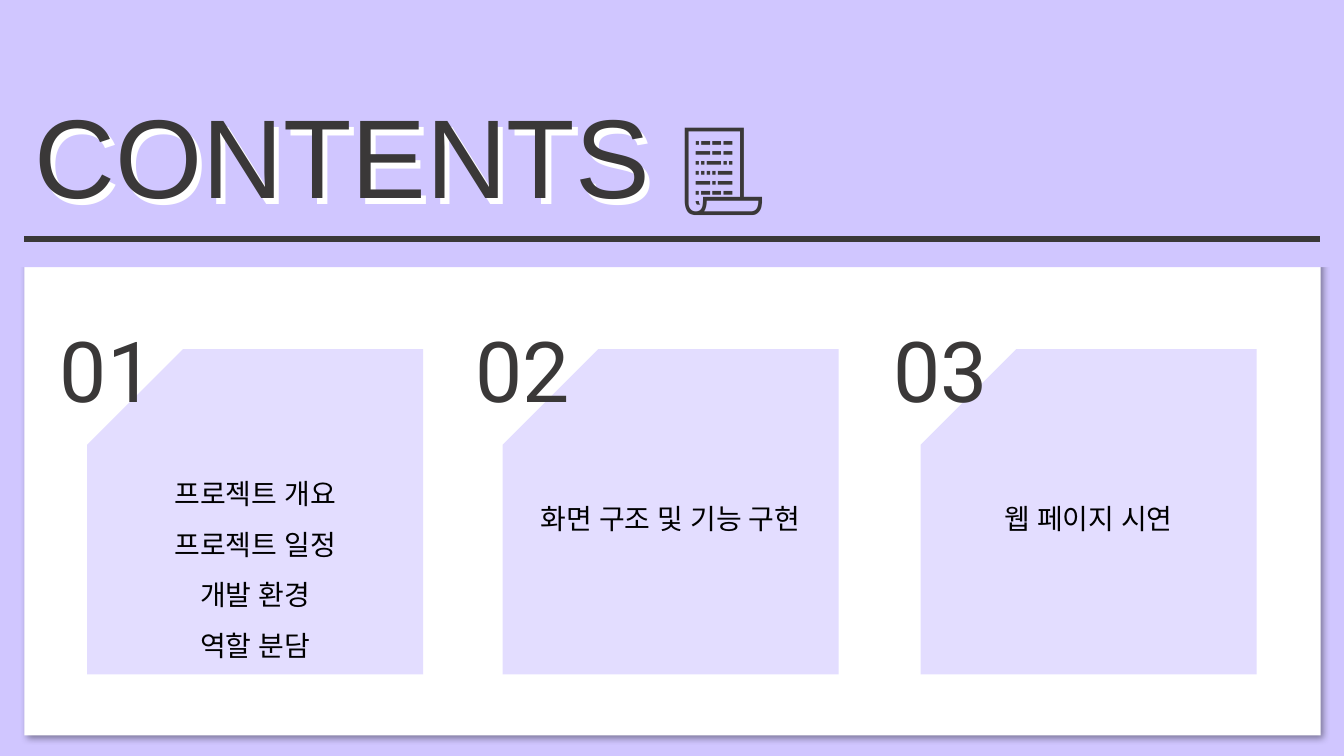
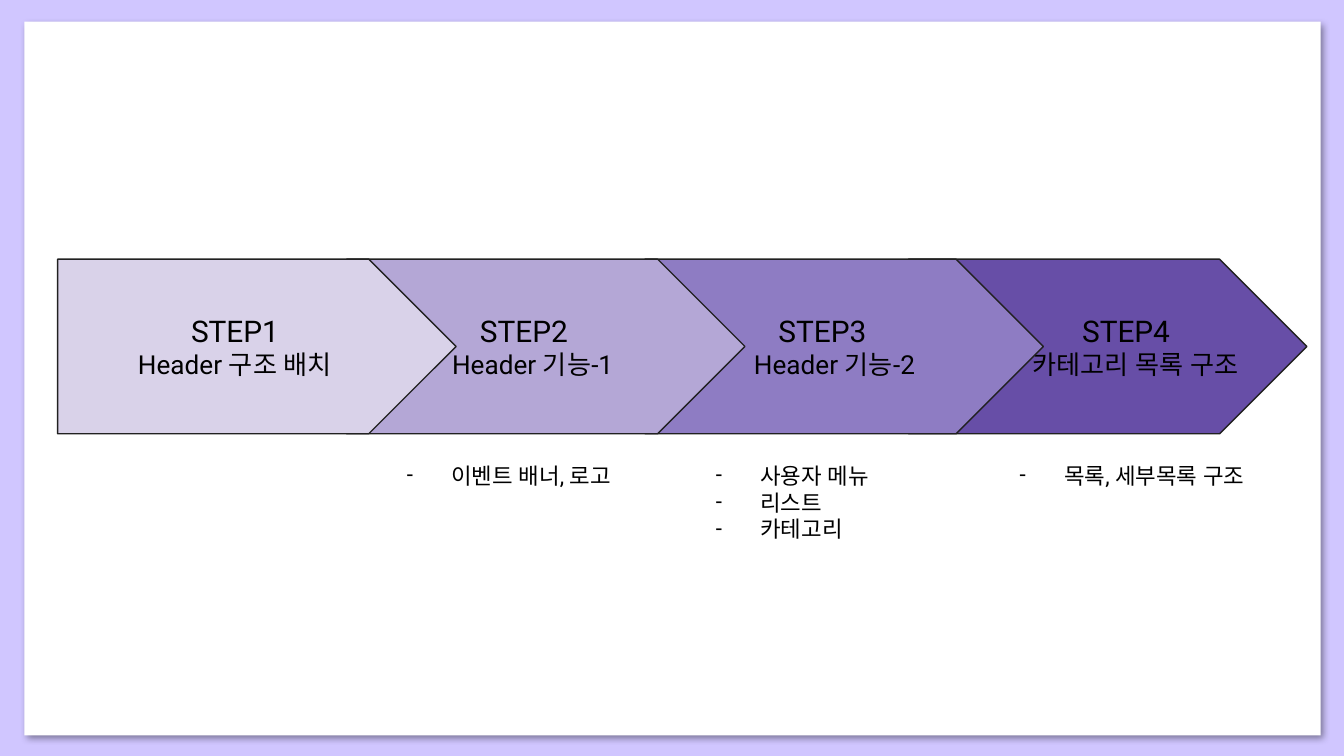
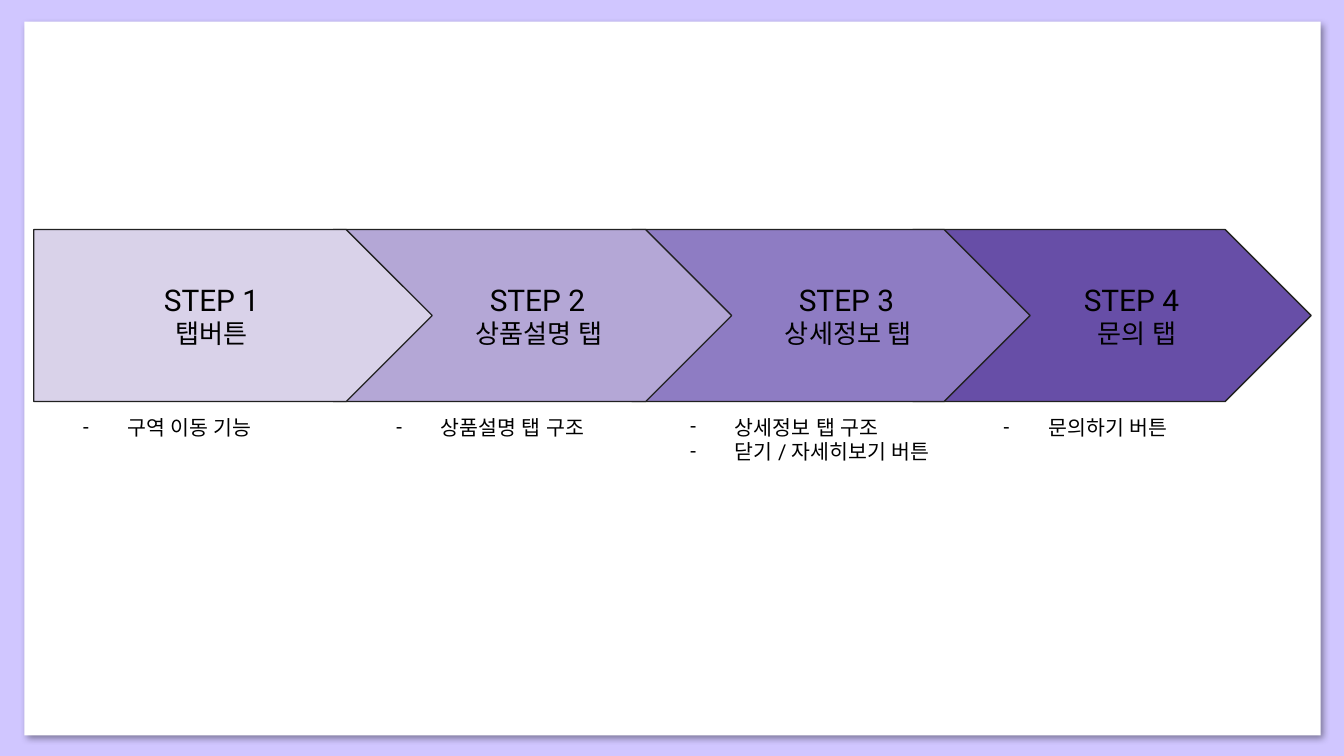
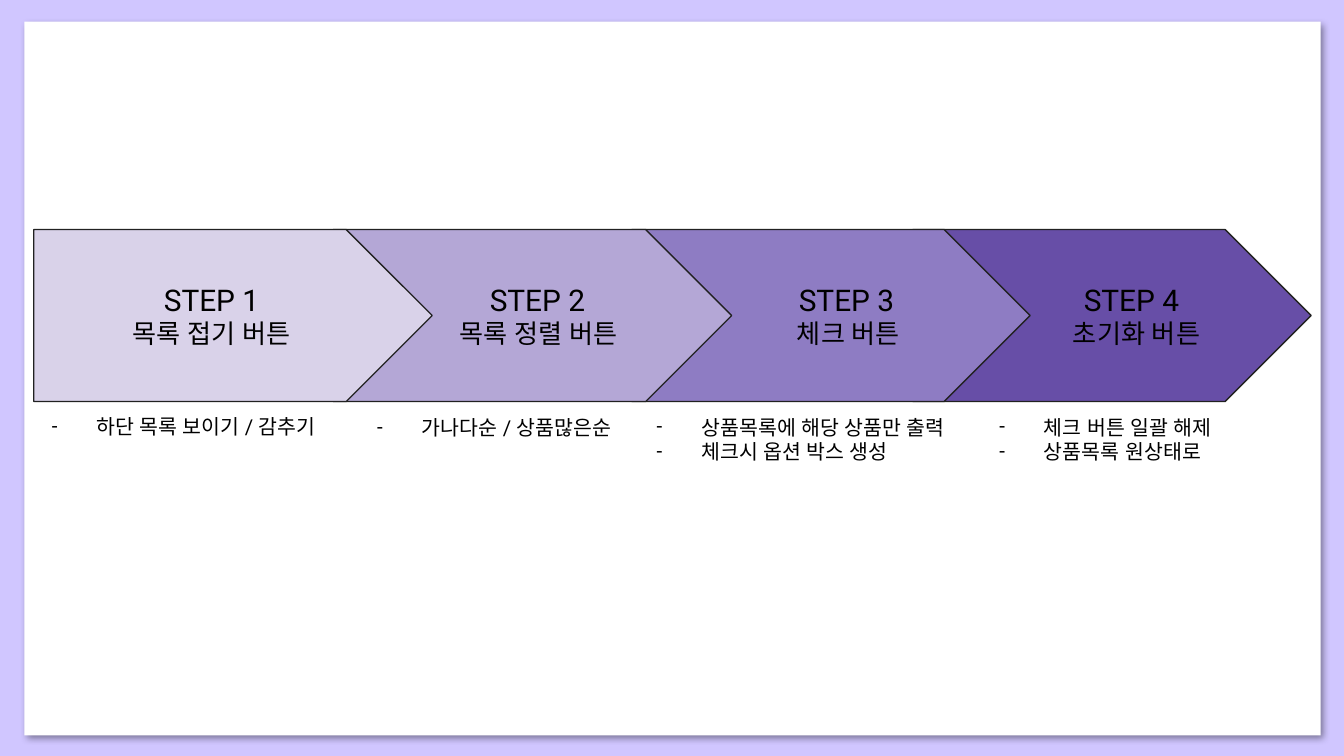
from dataclasses import dataclass

from lxml.etree import SubElement
from pptx import Presentation
from pptx.dml.color import RGBColor
from pptx.enum.shapes import MSO_CONNECTOR, MSO_SHAPE
from pptx.enum.text import MSO_ANCHOR, MSO_AUTO_SIZE, PP_ALIGN
from pptx.oxml.ns import qn
from pptx.util import Cm, Pt


@dataclass(frozen=True)
class Theme:
    # Colours
    lavender: str = "D0C6FF"
    card: str = "E3DDFF"
    white: str = "FFFFFF"
    dark: str = "3A3838"
    black: str = "000000"
    outline: str = "212121"
    steps: tuple = ("D9D2E9", "B4A7D6", "8E7CC3", "674EA7")
    # Fonts and type sizes
    title_font: str = "Arial"
    body_font: str = "Roboto"
    title: int = 60
    icon: int = 50
    number: int = 45
    topic: int = 15
    step: int = 16
    step_name: int = 14
    # Text margins in cm
    tight: tuple = (0.19, 0.09)
    roomy: tuple = (0.25, 0.25)


T = Theme()


def rgb(value):
    return RGBColor.from_string(value)


# Text
def add_run(p, text, size, color=T.black, font=T.body_font):
    r = p.add_run()
    r.text = text
    r.font.size = Pt(size)
    r.font.name = font
    r.font.color.rgb = rgb(color)
    SubElement(r.font._element, qn("a:ea"), typeface=font)


def set_margins(tf, margins):
    tf.word_wrap = True
    tf.margin_left = tf.margin_right = Cm(margins[0])
    tf.margin_top = tf.margin_bottom = Cm(margins[1])


def set_indent(p, left, first=0):
    pPr = p._p.get_or_add_pPr()
    pPr.set("marL", str(Cm(left)))
    pPr.set("indent", str(Cm(first)))
    return pPr


def paragraphs(tf, items):
    for i, item in enumerate(items):
        yield (tf.add_paragraph() if i else tf.paragraphs[0]), item


def add_text_box(shapes, left, top, width, height, margins=T.tight, grow=True):
    tf = shapes.add_textbox(Cm(left), Cm(top), Cm(width), Cm(height)).text_frame
    set_margins(tf, margins)
    tf.auto_size = MSO_AUTO_SIZE.SHAPE_TO_FIT_TEXT if grow else MSO_AUTO_SIZE.NONE
    return tf


# Shapes
def add_block(shapes, kind, left, top, width, height, fill, line=None):
    sp = shapes.add_shape(kind, Cm(left), Cm(top), Cm(width), Cm(height))
    sp.fill.solid()
    sp.fill.fore_color.rgb = rgb(fill)
    if line:
        sp.line.color.rgb = rgb(line)
        sp.line.width = Pt(0.75)
    else:
        sp.line.fill.background()
    sp.shadow.inherit = False
    return sp


def add_panel_slide(prs):
    s = prs.slides.add_slide(prs.slide_layouts[6])
    s.background.fill.solid()
    s.background.fill.fore_color.rgb = rgb(T.lavender)
    panel = add_block(s.shapes, MSO_SHAPE.RECTANGLE, 0.46, 0.41, 24.5, 13.49, T.white)
    effects = panel._element.spPr.find(qn("a:effectLst"))
    shadow = SubElement(effects, qn("a:outerShdw"), blurRad=str(Pt(4)), dist=str(Pt(3)),
                        dir="2700000", algn="tl", rotWithShape="0")
    color = SubElement(shadow, qn("a:srgbClr"), val=T.black)
    SubElement(color, qn("a:alpha"), val="40000")
    return s


def add_rule(s, left, right, y):
    line = s.shapes.add_connector(MSO_CONNECTOR.STRAIGHT, Cm(left), Cm(y), Cm(right), Cm(y))
    line.line.color.rgb = rgb(T.dark)
    line.line.width = Pt(3)
    SubElement(line._element.spPr, qn("a:effectLst"))


# Contents slide
def add_title(s, text, icon):
    behind = add_text_box(s.shapes, 0.56, 1.65, 15.29, 2.77)
    add_run(behind.paragraphs[0], text, T.title, T.white, T.title_font)
    p = add_text_box(s.shapes, 0.46, 1.55, 16.1, 2.77).paragraphs[0]
    add_run(p, text + " ", T.title, T.dark, T.title_font)
    add_run(p, icon, T.icon, T.dark, T.title_font)


def add_card(s, left, number):
    group = s.shapes.add_group_shape()
    card = add_block(group.shapes, MSO_SHAPE.SNIP_1_RECTANGLE, left, 6.6, 6.35, 6.15, T.card)
    card.adjustments[0] = 0.294
    card._element.spPr.find(qn("a:xfrm")).set("flipH", "1")
    p = add_text_box(group.shapes, left - 1.2, 5.94, 3.15, 2.11).paragraphs[0]
    p.alignment = PP_ALIGN.CENTER
    add_run(p, f"{number:02d}", T.number, T.dark)


def add_topics(s, left, top, topics):
    tf = add_text_box(s.shapes, left, top, 5.89, 3.5, grow=False)
    for p, topic in paragraphs(tf, topics):
        p.alignment = PP_ALIGN.CENTER
        p.line_spacing = 1.5
        add_run(p, topic, T.topic)


def build_contents(prs):
    s = add_panel_slide(prs)
    add_block(s.shapes, MSO_SHAPE.RECTANGLE, 0, 0, 25.4, 5.05, T.lavender)
    add_rule(s, 0.46, 24.94, 4.52)
    add_title(s, "CONTENTS", "📃")
    cards = [
        (1.65, 8.61, ["프로젝트 개요", "프로젝트 일정", "개발 환경", "역할 분담"]),
        (9.5, 9.07, ["화면 구조 및 기능 구현"]),
        (17.4, 9.07, ["웹 페이지 시연"]),
    ]
    for number, (left, _, _) in enumerate(cards, 1):
        add_card(s, left, number)
    for left, top, topics in cards:
        add_topics(s, left + 0.23, top, topics)


# Step slides
@dataclass(frozen=True)
class Flow:
    lefts: tuple
    top: float
    height: float
    indents: tuple  # left indent of the step label and of its name
    label: str
    note_size: int


HEADER_FLOW = Flow((1.09, 6.55, 12.19, 17.17), 4.9, 3.3,
                   ((0, 0), (0, 0.33), (0, 0.46), (1.52, 1.88)), "STEP{}", 12)
TAB_FLOW = Flow((0.64, 6.3, 11.94, 17.25), 4.34, 3.25,
                ((0, 0), (1, 1.05), (1.4, 1.48), (1.55, 1.75)), "STEP {}", 11)


def add_step(s, flow, index, name):
    sp = add_block(s.shapes, MSO_SHAPE.PENTAGON, flow.lefts[index], flow.top,
                   7.53, flow.height, T.steps[index], T.outline)
    tf = sp.text_frame
    set_margins(tf, T.roomy)
    tf.vertical_anchor = MSO_ANCHOR.MIDDLE
    lines = [(flow.label.format(index + 1), T.step), (name, T.step_name)]
    for (p, (text, size)), indent in zip(paragraphs(tf, lines), flow.indents[index]):
        p.alignment = PP_ALIGN.CENTER
        set_indent(p, indent)
        add_run(p, text, size)


def add_notes_list(s, left, top, width, height, items, size):
    tf = add_text_box(s.shapes, left, top, width, height, T.roomy)
    for p, item in paragraphs(tf, items):
        pPr = set_indent(p, 1.27, -0.84)
        SubElement(SubElement(pPr, qn("a:buClr")), qn("a:srgbClr"), val=T.black)
        SubElement(pPr, qn("a:buFont"), typeface=T.body_font)
        SubElement(pPr, qn("a:buChar"), char="-")
        add_run(p, item, size)


def build_steps(prs, flow, names, notes):
    s = add_panel_slide(prs)
    # The first step lies on top, so draw from the last one
    for index in reversed(range(len(names))):
        add_step(s, flow, index, names[index])
    for *box, items in notes:
        add_notes_list(s, *box, items, flow.note_size)


def main():
    prs = Presentation()
    prs.slide_width, prs.slide_height = Cm(25.4), Cm(14.29)

    build_contents(prs)
    build_steps(
        prs, HEADER_FLOW,
        ["Header 구조 배치", "Header 기능-1", "Header 기능-2", "카테고리 목록 구조"],
        [(7.01, 8.48, 5.33, 1.02, ["이벤트 배너, 로고"]),
         (12.85, 8.48, 5.33, 2.06, ["사용자 메뉴", "리스트", "카테고리"]),
         (18.59, 8.48, 5.33, 1.55, ["목록, 세부목록 구조"])])
    build_steps(
        prs, TAB_FLOW,
        ["탭버튼", "상품설명 탭", "상세정보 탭", "문의 탭"],
        [(0.89, 7.62, 6.02, 0.99, ["구역 이동 기능"]),
         (6.81, 7.62, 5.74, 0.99, ["상품설명 탭 구조"]),
         (12.37, 7.59, 6.71, 1.45, ["상세정보 탭 구조", "닫기 / 자세히보기 버튼"]),
         (18.29, 7.62, 6.38, 0.99, ["문의하기 버튼"])])
    build_steps(
        prs, TAB_FLOW,
        ["목록 접기 버튼", "목록 정렬 버튼", "체크 버튼", "초기화 버튼"],
        [(0.3, 7.59, 6.38, 0.99, ["하단 목록 보이기 / 감추기"]),
         (6.45, 7.62, 5.74, 0.99, ["가나다순 / 상품많은순"]),
         (11.73, 7.59, 6.96, 1.45, ["상품목록에 해당 상품만 출력", "체크시 옵션 박스 생성"]),
         (18.21, 7.59, 6.38, 1.45, ["체크 버튼 일괄 해제", "상품목록 원상태로"])])

    prs.save("out.pptx")


if __name__ == "__main__":
    main()
